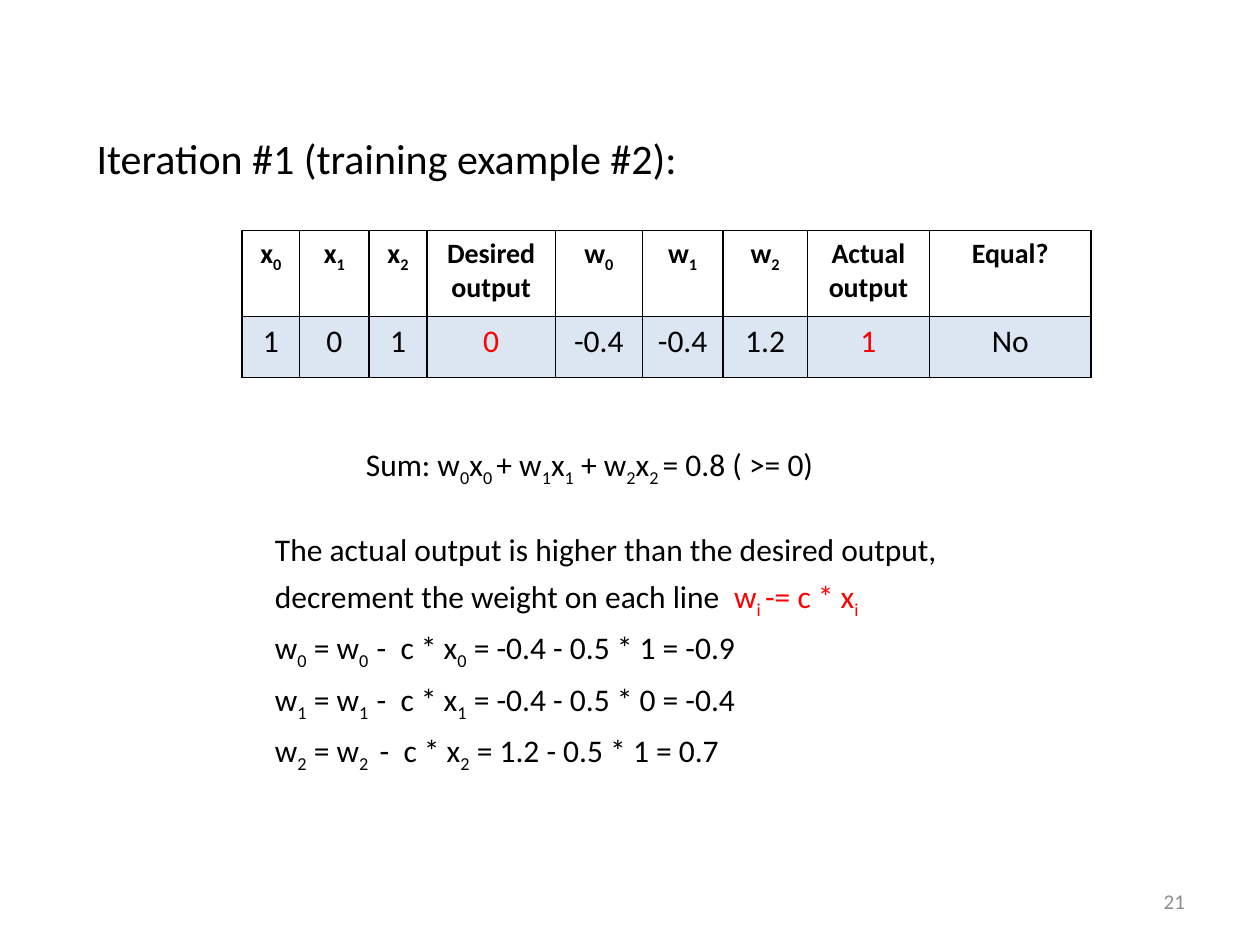
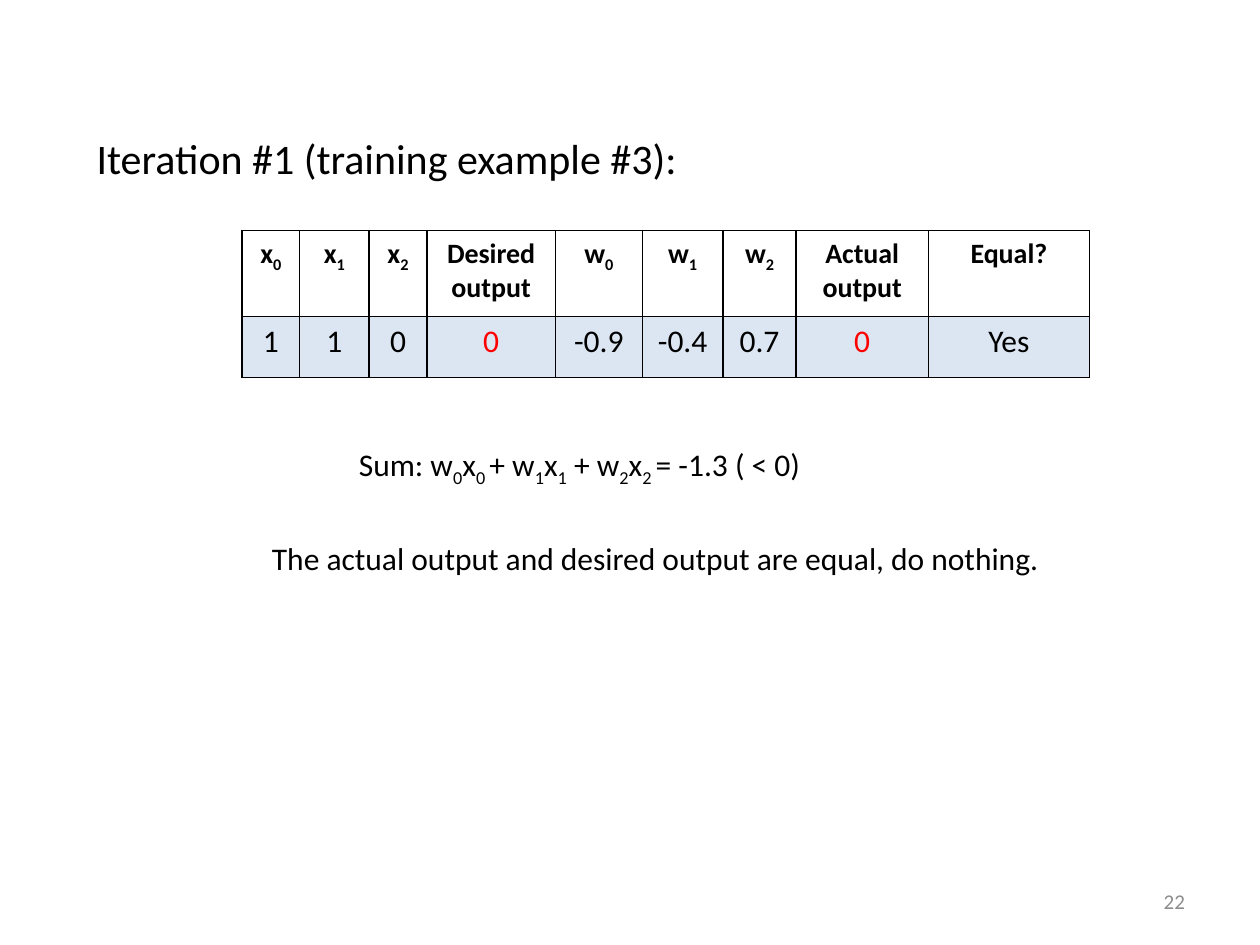
from lxml import etree
from pptx import Presentation, util as u
from pptx.dml.color import RGBColor
from pptx.enum import text as t
from pptx.oxml import ns

Pt = u.Pt
theme = {
    "font": "Calibri", "black": "000000", "red": "FF0000", "gray": "8C8C8C",
    "white": "FFFFFF", "tint": "DCE6F2",
    "title": 24, "body": 18, "head": 16, "foot": 12,
}
heads = ["x|0", "x|1", "x|2", "Desired output", "w|0", "w|1", "w|2",
         "Actual output", "Equal?"]
total = "Sum: w|0|x|0 |+ w|1|x|1| + w|2|x|2 |= "
slides = [
    {
        "title": "Iteration #1 (training example #2):",
        "cols": [33.1, 39.6, 33.1, 73.4, 49.7, 46.1, 48.2, 69.9, 92.2],
        "vals": ["1", "0", "1", "0", "-0.4", "-0.4", "1.2", "1", "No"],
        "sum": (total + "0.8 ( >= 0)", 202),
        "box": (132, 295.2, 492, 138), "indent": 18,
        "notes": [
            "The actual output is higher than the desired output, decrement "
            "the weight on each line  ^w|i |-= c * x|i",
            "w|0| = w|0  |-  c * x|0| = -0.4 - 0.5 * 1 = -0.9",
            "w|1| = w|1  |-  c * x|1| = -0.4 - 0.5 * 0 = -0.4",
            "w|2| = w|2 | -  c * x|2| = 1.2 - 0.5 * 1 = 0.7",
        ],
    },
    {
        "title": "Iteration #1 (training example #3):",
        "cols": [33.1, 39.6, 33.1, 73.4, 49.7, 46.1, 41.8, 75.6, 92.2],
        "vals": ["1", "1", "0", "0", "-0.9", "-0.4", "0.7", "0", "Yes"],
        "sum": (total + "-1.3 ( < 0)", 198),
        "box": (108, 300.2, 546, 77), "indent": 40.3,
        "notes": ["The actual output and desired output are equal, do nothing."],
    },
]


def write(frame, lines, size="body", tone="black", bold=False, **form):
    # "|" toggles subscript and "^" turns the rest of a line red
    for n, line in enumerate(lines):
        para = frame.paragraphs[0] if n == 0 else frame.add_paragraph()
        for key, val in form.items():
            setattr(para, key, val)
        for hue, chunk in zip((tone, "red"), line.split("^")):
            for k, part in enumerate(chunk.split("|")):
                run = para.add_run()
                run.text = part
                font = {"name": theme["font"], "size": Pt(theme[size]), "bold": bold}
                for key, val in font.items():
                    setattr(run.font, key, val)
                run.font.color.rgb = RGBColor.from_string(theme[hue])
                if k % 2:
                    run.font._element.set("baseline", "-25000")


def place(shape, box, anchor=t.MSO_ANCHOR.TOP):
    for key, val in zip(("left", "top", "width", "height"), box):
        setattr(shape, key, Pt(val))
    form = {"word_wrap": True, "auto_size": t.MSO_AUTO_SIZE.NONE,
            "vertical_anchor": anchor}
    for key, val in form.items():
        setattr(shape.text_frame, key, val)
    return shape.text_frame


deck = Presentation()
deck.slide_width, deck.slide_height = Pt(720), Pt(540)

for num, data in enumerate(slides, 21):
    slide = deck.slides.add_slide(deck.slide_layouts[5])
    shapes = slide.shapes
    frame = place(shapes.title, (48, 72, 360, 124))
    write(frame, [data["title"]], "title", alignment=t.PP_ALIGN.LEFT)

    grid = shapes.add_table(2, len(heads), Pt(138.2), Pt(131.8),
                            Pt(sum(data["cols"])), Pt(84)).table
    for col, wide in zip(grid.columns, data["cols"]):
        col.width = Pt(wide)
    for row, tall in zip(grid.rows, (49, 35)):
        row.height = Pt(tall)
    for r, line in enumerate((heads, data["vals"])):
        for c, word in enumerate(line):
            cell = grid.cell(r, c)
            props = cell._tc.get_or_add_tcPr()
            for side in "LRTB":
                edge = etree.SubElement(props, ns.qn("a:ln" + side), w=str(Pt(1)))
                fill = etree.SubElement(edge, ns.qn("a:solidFill"))
                etree.SubElement(fill, ns.qn("a:srgbClr"), val=theme["black"])
            cell.fill.solid()
            cell.fill.fore_color.rgb = RGBColor.from_string(
                theme["tint" if r else "white"])
            tone = "red" if r and heads[c].endswith("output") else "black"
            write(cell.text_frame, [word], "body" if r else "head", tone,
                  bold=r == 0, alignment=t.PP_ALIGN.CENTER)

    words, left = data["sum"]
    write(place(shapes.add_textbox(0, 0, 0, 0), (left, 250.6, 360, 29)), [words])

    frame = place(shapes.add_textbox(0, 0, 0, 0), data["box"])
    write(frame, data["notes"], line_spacing=1.2)
    for para in frame.paragraphs:
        para._p.get_or_add_pPr().set("marL", str(Pt(data["indent"])))

    frame = place(shapes.add_textbox(0, 0, 0, 0), (516.2, 500.4, 168, 28.8),
                  t.MSO_ANCHOR.MIDDLE)
    write(frame, [str(num)], "foot", "gray", alignment=t.PP_ALIGN.RIGHT)

deck.save("out.pptx")
